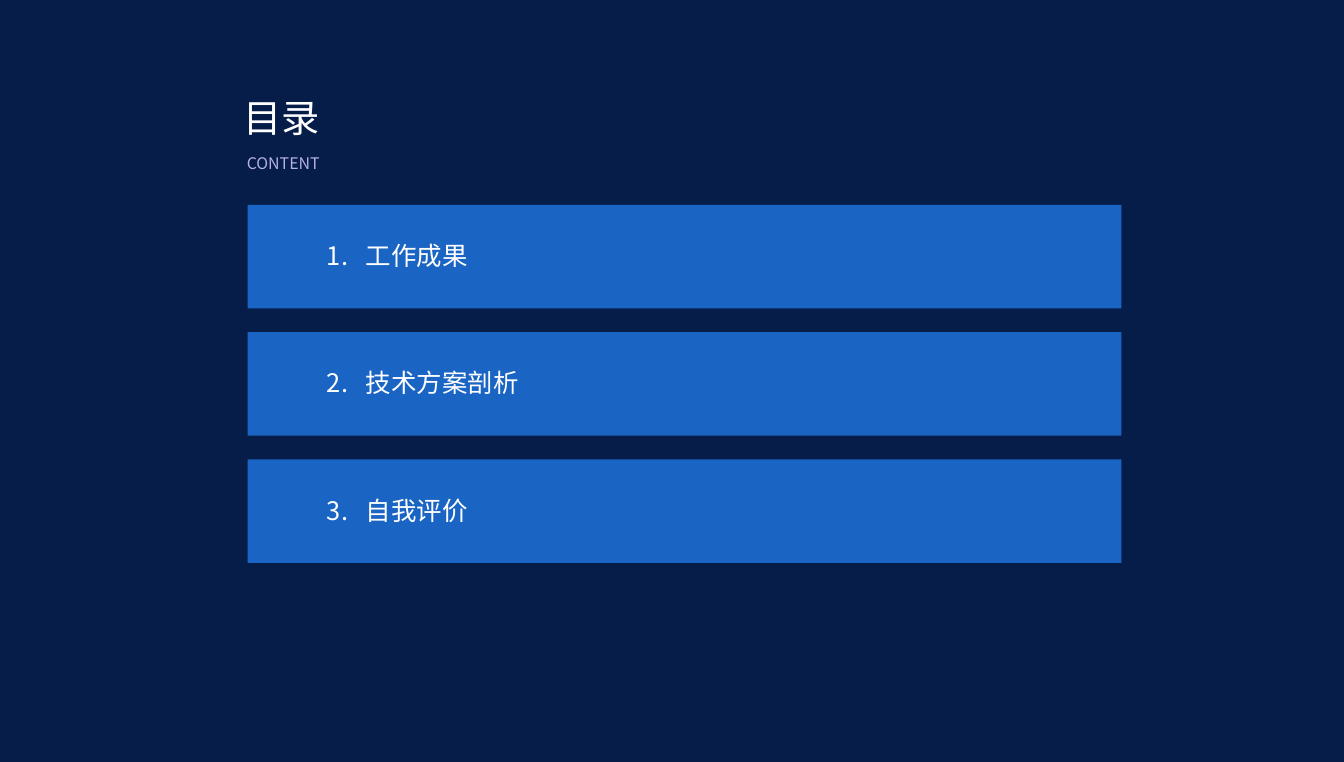
import pptx
import pptx.dml.color
import pptx.enum.shapes
import pptx.enum.text
import pptx.oxml.ns
import pptx.util
from lxml import etree

Cm = pptx.util.Cm
FONT = "Noto Sans CJK SC"
COLORS = {
    "background": "061D49",
    "bar": "1A64C4",
    "text": "FFFFFF",
    "subtitle": "B6AFE7",
}
CHAPTERS = ["工作成果", "技术方案剖析", "自我评价"]


def color(name):
    return pptx.dml.color.RGBColor.from_string(COLORS[name])


def add_rectangle(slide, left, top, width, height, fill):
    shape = slide.shapes.add_shape(
        pptx.enum.shapes.MSO_SHAPE.RECTANGLE, Cm(left), Cm(top), Cm(width), Cm(height)
    )
    shape.shadow.inherit = False
    shape.fill.solid()
    shape.fill.fore_color.rgb = color(fill)
    shape.line.fill.background()


def add_text(slide, left, top, width, height, text, size, text_color, inset=0.25, tab=None):
    text_box = slide.shapes.add_textbox(Cm(left), Cm(top), Cm(width), Cm(height))
    text_frame = text_box.text_frame
    text_frame.word_wrap = True
    text_frame.auto_size = pptx.enum.text.MSO_AUTO_SIZE.SHAPE_TO_FIT_TEXT
    text_frame.margin_left = Cm(inset)
    text_frame.text = text
    paragraph = text_frame.paragraphs[0]
    qn = pptx.oxml.ns.qn
    if tab:
        tab_list = etree.SubElement(paragraph._p.get_or_add_pPr(), qn("a:tabLst"))
        etree.SubElement(tab_list, qn("a:tab"), pos=str(Cm(tab)), algn="l")
    for run in paragraph.runs:
        run.font.size = pptx.util.Pt(size)
        run.font.color.rgb = color(text_color)
        run.font.name = FONT
        etree.SubElement(run._r.get_or_add_rPr(), qn("a:ea"), typeface=FONT)


def add_heading(slide, left, top):
    add_text(slide, left, top, 3.23, 1.3, "目录", 24.2, "text", inset=0)
    add_text(slide, left + 0.08, top + 1.32, 4.93, 0.69, "CONTENT", 10.1, "subtitle", inset=0)


def add_chapters(slide, left, top, width, bar_height, pitch):
    for index, chapter in enumerate(CHAPTERS):
        bar_top = top + index * pitch
        add_rectangle(slide, left, bar_top, width, bar_height, "bar")
        add_text(slide, left + 1.52, bar_top + 0.66, width - 2.08, 0.94,
                 f"{index + 1}.\t{chapter}", 16.1, "text", tab=0.87)


def build_contents_slide(presentation, width, height):
    slide = presentation.slides.add_slide(presentation.slide_layouts[6])
    add_rectangle(slide, 0, 0, width, height, "background")
    add_heading(slide, 5.43, 1.98)
    add_chapters(slide, 5.53, 4.57, 19.5, 2.31, 2.84)


def main():
    presentation = pptx.Presentation()
    width, height = 30, 17
    presentation.slide_width = Cm(width)
    presentation.slide_height = Cm(height)
    build_contents_slide(presentation, width, height)
    presentation.save("out.pptx")


if __name__ == "__main__":
    main()
